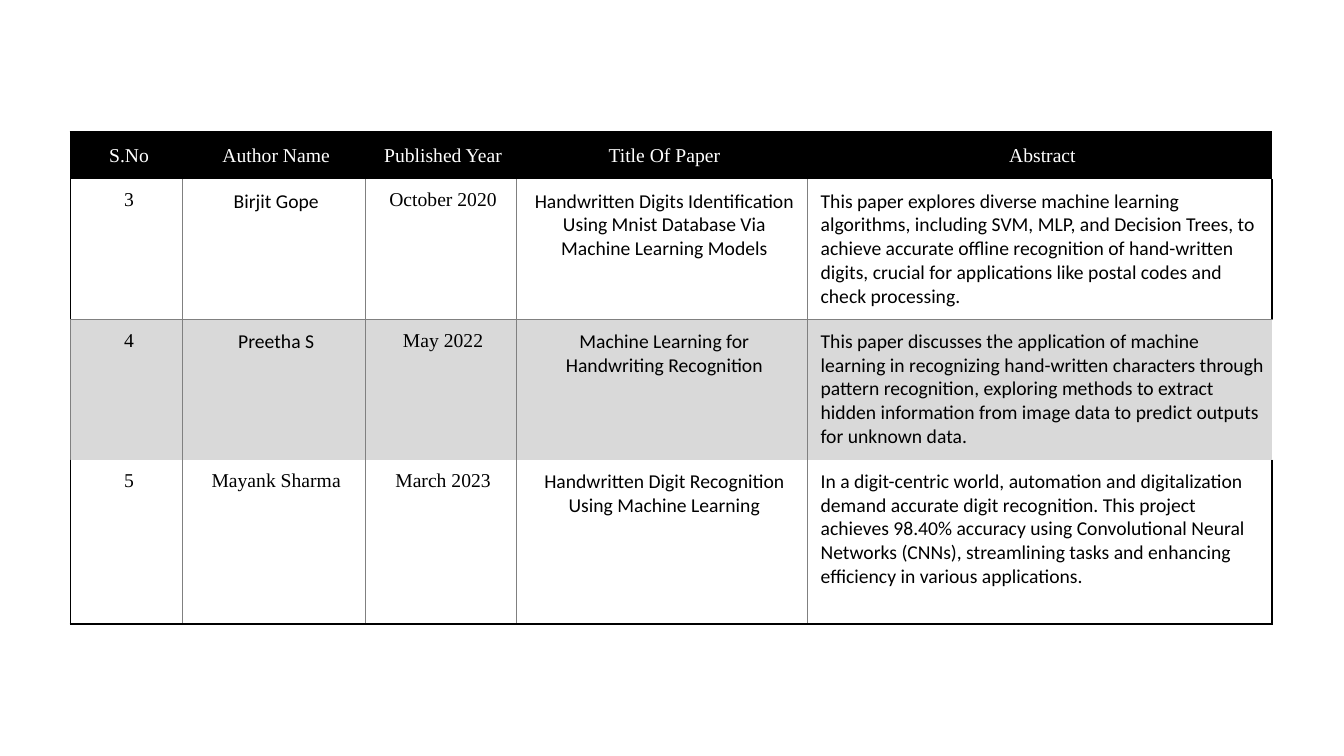
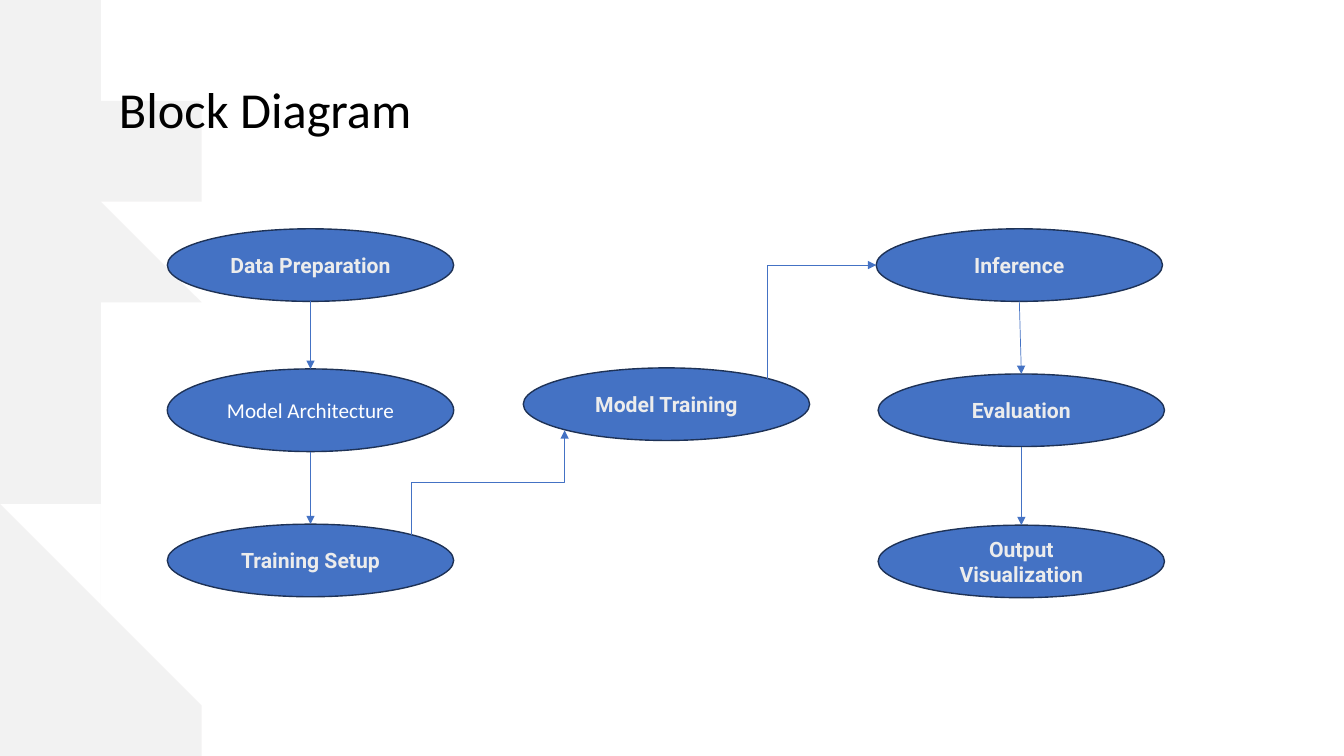
from dataclasses import dataclass

from lxml.etree import SubElement
from pptx import Presentation
from pptx.dml.color import RGBColor
from pptx.enum.shapes import MSO_CONNECTOR, MSO_SHAPE
from pptx.enum.text import MSO_ANCHOR, PP_ALIGN
from pptx.oxml.ns import qn
from pptx.util import Inches, Pt


@dataclass(frozen=True)
class Theme:
    black: str = "000000"
    white: str = "FFFFFF"
    grid: str = "808080"
    band: str = "D9D9D9"
    brush: str = "E7E6E6"
    blue: str = "4472C4"
    navy: str = "1E3256"
    pale: str = "ECECEC"
    sans: str = "Calibri"
    serif: str = "Times New Roman"
    label: str = "Roboto"
    title_size: float = 36
    table_size: float = 14
    node_size: float = 15.1


theme = Theme()


def style_paragraph(para, font_name, size, color, align, bold=False):
    para.alignment = align
    for span in para.runs:
        span.font.name = font_name
        span.font.size = Pt(size)
        span.font.bold = bold
        span.font.color.rgb = RGBColor.from_string(color)


def add_border(cell, side, line):
    """Draw one cell edge; line is (colour, points), or None for no edge."""
    edge = SubElement(cell._tc.get_or_add_tcPr(), qn(f"a:ln{side}"))
    if line is None:
        SubElement(edge, qn("a:noFill"))
        return
    color, points = line
    edge.set("w", str(Pt(points)))
    SubElement(SubElement(edge, qn("a:solidFill")), qn("a:srgbClr")).set("val", color)


deck = Presentation()
deck.slide_width, deck.slide_height = Inches(13.33), Inches(7.5)
title_only, blank = deck.slide_layouts[5], deck.slide_layouts[6]

# Literature table
page = deck.slides.add_slide(blank)
papers = [
    ("S.No", "Author Name", "Published Year", "Title Of Paper", "Abstract"),
    ("3", "Birjit Gope", "October 2020",
     "Handwritten Digits Identification Using Mnist Database Via Machine Learning Models",
     "This paper explores diverse machine learning algorithms, including SVM, MLP, and "
     "Decision Trees, to achieve accurate offline recognition of hand-written digits, "
     "crucial for applications like postal codes and check processing."),
    ("4", "Preetha S", "May 2022",
     "Machine Learning for Handwriting Recognition",
     "This paper discusses the application of machine learning in recognizing hand-written "
     "characters through pattern recognition, exploring methods to extract hidden "
     "information from image data to predict outputs for unknown data."),
    ("5", "Mayank Sharma", "March 2023",
     "Handwritten Digit Recognition Using Machine Learning",
     "In a digit-centric world, automation and digitalization demand accurate digit "
     "recognition. This project achieves 98.40% accuracy using Convolutional Neural "
     "Networks (CNNs), streamlining tasks and enhancing efficiency in various applications."),
]
column_widths = [1.11, 1.81, 1.5, 2.89, 4.61]
row_heights = [0.47, 1.39, 1.39, 1.63]
header_row, band_row, last_row = 0, 2, len(papers) - 1
last_column = len(column_widths) - 1
sans_authors = ("Birjit Gope", "Preetha S")
outer, inner = (theme.black, 1.5), (theme.grid, 0.5)

table = page.shapes.add_table(
    len(row_heights), len(column_widths), Inches(0.7), Inches(1.31),
    Inches(sum(column_widths)), Inches(sum(row_heights))).table
table.first_row = table.horz_banding = False
for column, width in zip(table.columns, column_widths):
    column.width = Inches(width)
for row, height in zip(table.rows, row_heights):
    row.height = Inches(height)

for r, paper in enumerate(papers):
    is_header, is_band = r == header_row, r == band_row
    for c, text in enumerate(paper):
        cell = table.cell(r, c)
        cell.text_frame.text = text
        cell.margin_left, cell.margin_right = Inches(0.13), Inches(0.08)
        cell.margin_top = cell.margin_bottom = Inches(0.1)
        cell.vertical_anchor = MSO_ANCHOR.MIDDLE if is_header else MSO_ANCHOR.TOP
        is_sans = not is_header and (c >= 3 or text in sans_authors)
        style_paragraph(
            cell.text_frame.paragraphs[0],
            theme.sans if is_sans else theme.serif, theme.table_size,
            theme.white if is_header else theme.black,
            PP_ALIGN.LEFT if c == last_column and not is_header else PP_ALIGN.CENTER)

        between = None if is_header else inner
        left = right = between
        if c == 0:
            left = inner if is_band else outer
        if c == last_column:
            right = None if is_header or is_band else outer
        top = {header_row: outer, band_row: inner}.get(r)
        bottom = {1: inner, last_row: outer}.get(r)
        for side, line in zip("LRTB", (left, right, top, bottom)):
            add_border(cell, side, line)

        if is_header or is_band:
            cell.fill.solid()
            cell.fill.fore_color.rgb = RGBColor.from_string(
                theme.black if is_header else theme.band)
        else:
            cell.fill.background()

# Block diagram
page = deck.slides.add_slide(title_only)
title = page.shapes.title
title.left, title.top, title.width, title.height = map(Inches, (1.08, 0.72, 3.67, 0.71))
title.text_frame.text = "Block Diagram"
title.text_frame.vertical_anchor = MSO_ANCHOR.TOP
title_para = title.text_frame.paragraphs[0]
title_para.space_after = Pt(6)
style_paragraph(title_para, theme.sans, theme.title_size, theme.black, PP_ALIGN.LEFT)

brush_edge = [
    (0, 0), (1.51, 0), (1.85, 0.12), (1.44, 0.1), (1.8, 0.41), (1.45, 0.43),
    (1.26, 0.37), (1.49, 0.61), (0.83, 0.58), (0.37, 0.51), (1.39, 1), (1.27, 1.04),
    (1.66, 1.33), (1.53, 1.49), (1.94, 1.75), (1.78, 1.81), (2.12, 2.17),
    (1.71, 2.27), (2.1, 2.42), (0.84, 2.07), (1.36, 2.4), (1.54, 2.62), (1.93, 2.75),
    (1.56, 2.85), (1.1, 2.79), (0.83, 3.19), (0.55, 3.22), (1.15, 3.64), (0.75, 3.53),
    (0.69, 3.71), (0.97, 4.02), (0.92, 4.56), (0.73, 4.58), (0.7, 4.81), (0.39, 4.79),
    (0.73, 5.05), (0.37, 5.03), (1.03, 5.64), (0.63, 5.46), (1.15, 5.99), (1.34, 6.31),
    (1.11, 6.29), (1.69, 6.78), (1.09, 6.67), (1.43, 6.94), (1.58, 7.03), (1.76, 7.28),
    (2.17, 7.5), (0, 7.5),
]
outline = page.shapes.build_freeform(0, 0, scale=Inches(1))
outline.add_line_segments(brush_edge[1:], close=True)
brush = outline.convert_to_shape()
brush.shadow.inherit = False
brush.fill.solid()
brush.fill.fore_color.rgb = RGBColor.from_string(theme.brush)
brush_color = brush.element.spPr.find(f"{qn('a:solidFill')}/{qn('a:srgbClr')}")
SubElement(brush_color, qn("a:alpha")).set("val", "50000")
brush.line.fill.background()
title.element.addprevious(brush.element)

node_width, node_height, tall_height = 2.84, 0.72, 0.82
nodes = {
    "Data Preparation": (1.66, 2.27, node_height),
    "Model Architecture": (1.66, 3.66, tall_height),
    "Training Setup": (1.66, 5.2, node_height),
    "Model Training": (5.19, 3.65, node_height),
    "Inference": (8.69, 2.27, node_height),
    "Output Visualization": (8.71, 5.21, node_height),
    "Evaluation": (8.71, 3.71, node_height),
}
for name, (left, top, height) in nodes.items():
    node = page.shapes.add_shape(
        MSO_SHAPE.OVAL, Inches(left), Inches(top), Inches(node_width), Inches(height))
    node.shadow.inherit = False
    node.fill.solid()
    node.fill.fore_color.rgb = RGBColor.from_string(theme.blue)
    node.line.color.rgb = RGBColor.from_string(theme.navy)
    node.line.width = Pt(1)
    node.text_frame.text = name
    node.text_frame.word_wrap = True
    node.text_frame.vertical_anchor = MSO_ANCHOR.MIDDLE
    para = node.text_frame.paragraphs[0]
    para.space_after = Pt(6)
    is_plain = name == "Model Architecture"
    style_paragraph(
        para, theme.sans if is_plain else theme.label, theme.node_size,
        theme.white if is_plain else theme.pale, PP_ALIGN.CENTER, bold=not is_plain)

arrows = []
for source, target in [
    ("Data Preparation", "Model Architecture"),
    ("Model Architecture", "Training Setup"),
    ("Inference", "Evaluation"),
    ("Evaluation", "Output Visualization"),
]:
    left, top, height = nodes[source]
    target_left, target_top, _ = nodes[target]
    arrows.append(page.shapes.add_connector(
        MSO_CONNECTOR.STRAIGHT,
        Inches(left + node_width / 2), Inches(top + height),
        Inches(target_left + node_width / 2), Inches(target_top)))

# An elbow that leaves upwards is a flipped elbow turned by 90 degrees about its centre
for (x1, y1), (x2, y2), preset in [
    ((4.08, 5.31), (5.6, 4.27), "bentConnector3"),
    ((7.61, 3.76), (8.69, 2.63), "bentConnector2"),
]:
    center_x, center_y = (x1 + x2) / 2, (y1 + y2) / 2
    half_width, half_height = (y1 - y2) / 2, (x2 - x1) / 2
    elbow = page.shapes.add_connector(
        MSO_CONNECTOR.ELBOW,
        Inches(center_x + half_width), Inches(center_y + half_height),
        Inches(center_x - half_width), Inches(center_y - half_height))
    elbow.element.spPr.find(qn("a:xfrm")).set("rot", str(90 * 60000))
    elbow.element.spPr.find(qn("a:prstGeom")).set("prst", preset)
    arrows.append(elbow)

for arrow in arrows:
    arrow.line.color.rgb = RGBColor.from_string(theme.blue)
    arrow.line.width = Pt(0.5)
    SubElement(arrow.line._get_or_add_ln(), qn("a:tailEnd")).set("type", "triangle")
    SubElement(arrow.element.spPr, qn("a:effectLst"))

deck.save("out.pptx")
